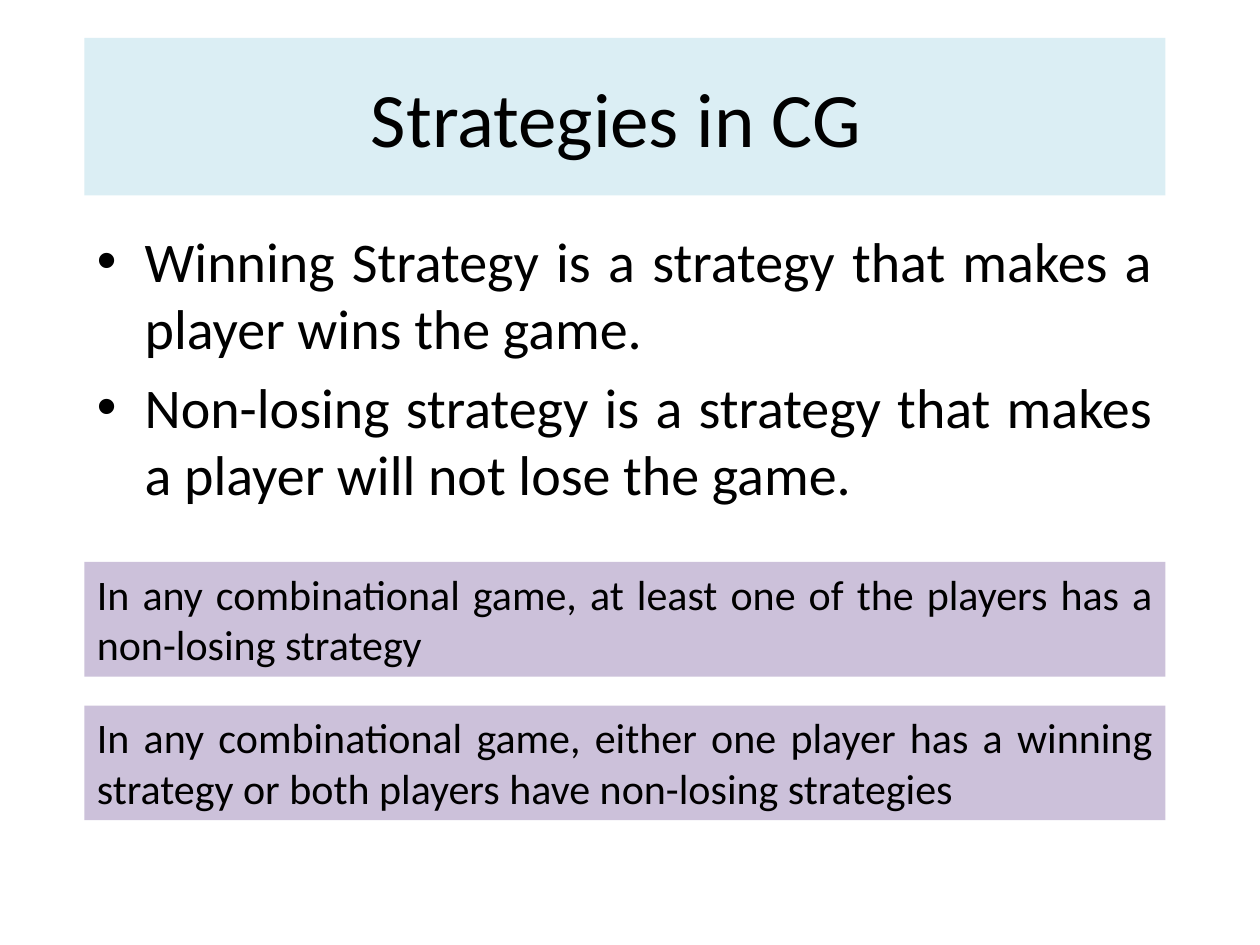
import pptx
import pptx.dml.color
import pptx.enum.text
import pptx.oxml
import pptx.oxml.ns
import pptx.util

Inches = pptx.util.Inches
Pt = pptx.util.Pt
ALIGN = pptx.enum.text.PP_ALIGN
ANCHOR = pptx.enum.text.MSO_ANCHOR

LEFT, WIDTH = 0.67, 8.58
TITLE = "Strategies in CG "
STRATEGIES = [
    "Winning Strategy is a strategy that makes a player wins the game.",
    "Non-losing strategy is a strategy that makes a player will not lose the game.",
]
THEOREMS = [
    "In any combinational game, at least one of the players has a non-losing strategy ",
    "In any combinational game, either one player has a winning strategy "
    "or both players have non-losing strategies ",
]


def color(value):
    """Return the colour for a hex string."""
    return pptx.dml.color.RGBColor.from_string(value)


def place(box, top, height):
    """Put a box in the slide's single column."""
    box.left, box.top = Inches(LEFT), Inches(top)
    box.width, box.height = Inches(WIDTH), Inches(height)


def fill(box, value):
    """Give a box a solid fill."""
    box.fill.solid()
    box.fill.fore_color.rgb = color(value)


def style(para, size, alignment):
    """Set the alignment and font of a paragraph."""
    para.alignment = alignment
    para.font.size = Pt(size)
    para.font.name = "Calibri"
    para.font.color.rgb = color("000000")


def add_bullet(para, indent):
    """Give a paragraph a hanging round bullet."""
    properties = para._p.get_or_add_pPr()
    properties.set("marL", str(Inches(indent)))
    properties.set("indent", str(-Inches(indent)))
    namespace = pptx.oxml.ns.nsdecls("a")
    for element in ('<a:buFont %s typeface="Arial"/>', '<a:buChar %s char="•"/>'):
        properties.append(pptx.oxml.parse_xml(element % namespace))


def set_title(page, text):
    """Fill in and format the title placeholder."""
    title = page.shapes.title
    place(title, 0.3, 1.25)
    fill(title, "DBEEF4")
    title.text_frame.text = text
    title.text_frame.vertical_anchor = ANCHOR.MIDDLE
    style(title.text_frame.paragraphs[0], 44, ALIGN.CENTER)


def add_text_box(page, top, height):
    """Add a wrapping text box to the column."""
    box = page.shapes.add_textbox(0, 0, 0, 0)
    place(box, top, height)
    box.text_frame.word_wrap = True
    return box


def add_bullet_list(page, items, top, height):
    """Add a justified bullet list."""
    frame = add_text_box(page, top, height).text_frame
    frame.text = "\n".join(items)
    for index, para in enumerate(frame.paragraphs):
        add_bullet(para, 0.38)
        style(para, 32, ALIGN.JUSTIFY)
        if index:
            para.space_before = Pt(6.4)


def add_theorem(page, text, top):
    """Add a filled box that states a theorem."""
    box = add_text_box(page, top, 0.91)
    fill(box, "CCC1DA")
    box.text_frame.text = text
    box.text_frame.auto_size = pptx.enum.text.MSO_AUTO_SIZE.SHAPE_TO_FIT_TEXT
    style(box.text_frame.paragraphs[0], 24, ALIGN.JUSTIFY)


def main():
    """Build the slide and save the deck."""
    deck = pptx.Presentation()
    deck.slide_width, deck.slide_height = Inches(10), Inches(7.5)
    page = deck.slides.add_slide(deck.slide_layouts[5])
    set_title(page, TITLE)
    add_bullet_list(page, STRATEGIES, 1.75, 4.95)
    for index, theorem in enumerate(THEOREMS):
        add_theorem(page, theorem, 4.46 + 1.14 * index)
    deck.save("out.pptx")


if __name__ == "__main__":
    main()
